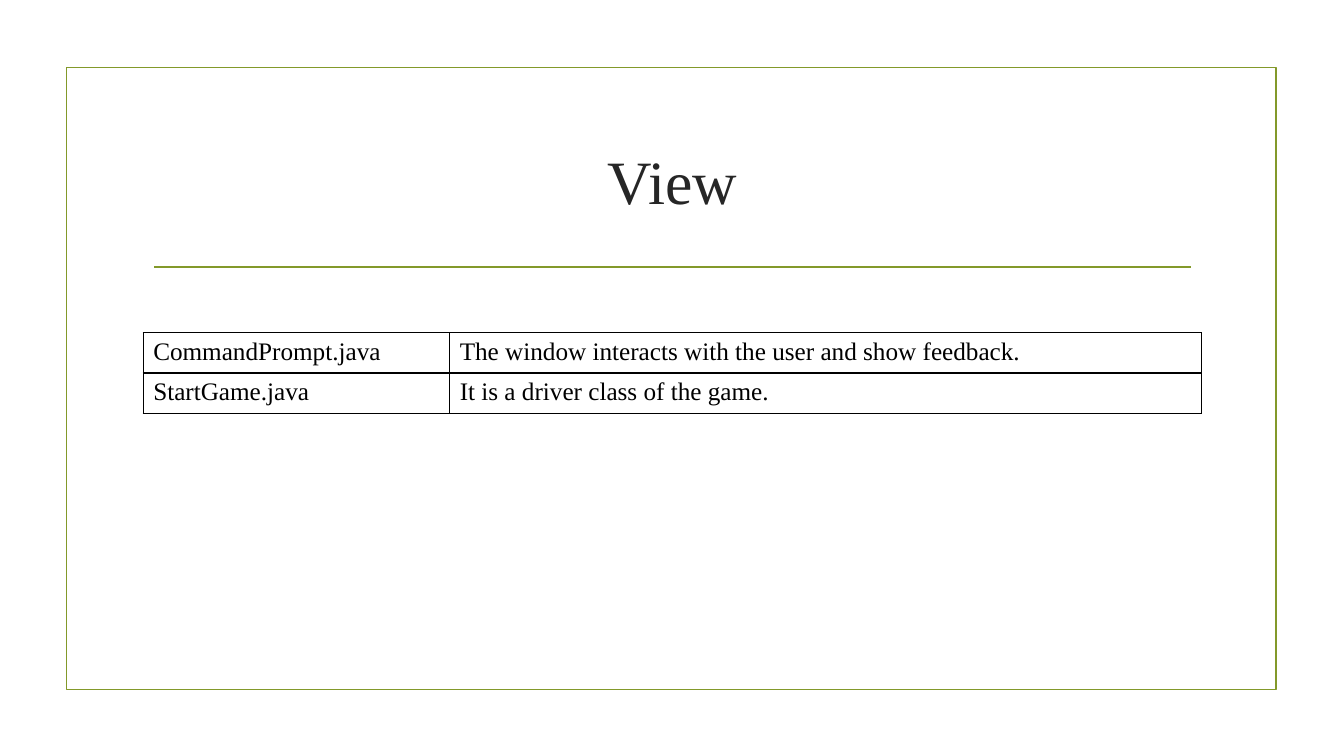
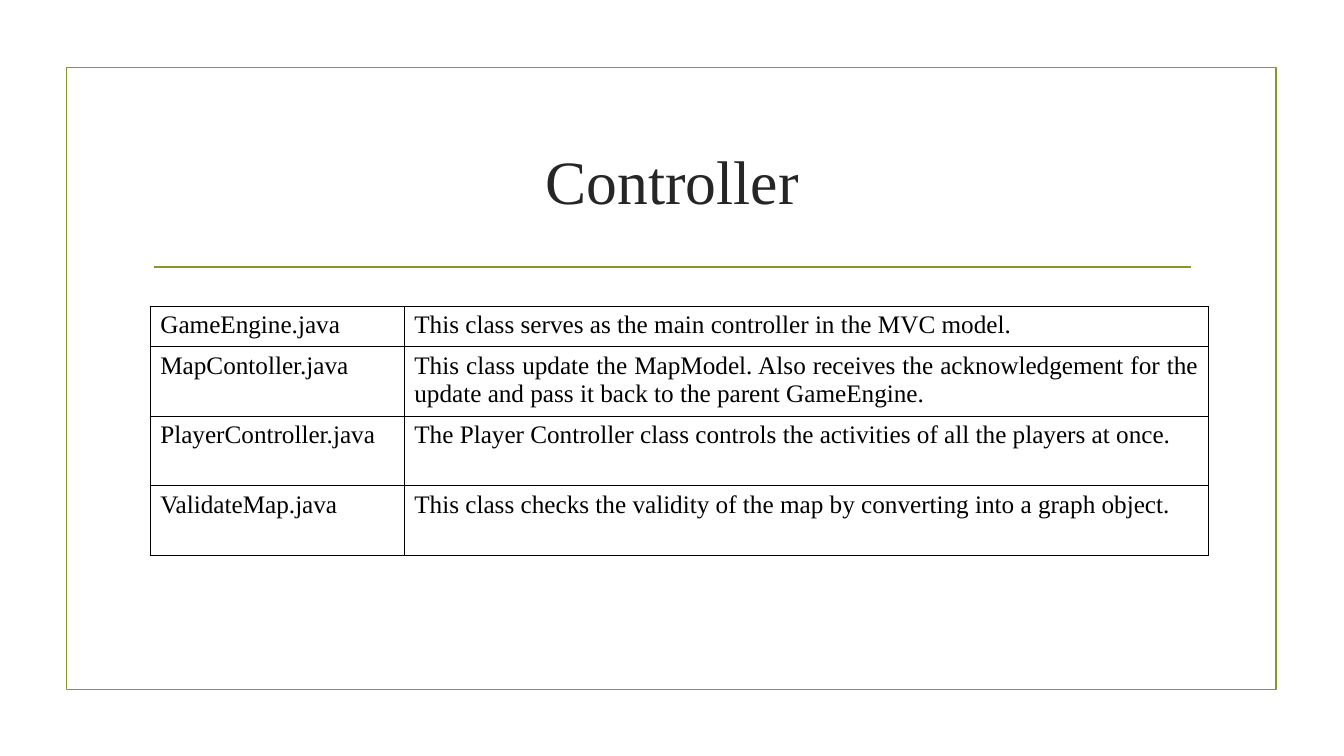
from lxml.etree import SubElement
from pptx import Presentation
from pptx.dml.color import RGBColor
from pptx.enum.shapes import MSO_CONNECTOR, MSO_SHAPE
from pptx.enum.text import MSO_ANCHOR, PP_ALIGN
from pptx.oxml import parse_xml
from pptx.oxml.ns import nsdecls, qn
from pptx.util import Inches, Pt

GREEN = RGBColor(0x83, 0x99, 0x2A)
DARK = RGBColor(0x26, 0x26, 0x26)
BLACK = RGBColor(0, 0, 0)
FONT = "Times New Roman"

VIEW = [
    ("CommandPrompt.java", "The window interacts with the user and show feedback."),
    ("StartGame.java", "It is a driver class of the game."),
]
CONTROL = [
    ("GameEngine.java", "This class serves as the main controller in the MVC model."),
    ("MapContoller.java", "This class update the MapModel. Also receives the acknowledgement "
     "for the update and pass it back to the parent GameEngine."),
    ("PlayerController.java", "The Player Controller class controls the activities of all "
     "the players at once."),
    ("ValidateMap.java", "This class checks the validity of the map by converting into "
     "a graph object."),
]


def place(shape, left, top, width, height):
    shape.left, shape.top = Inches(left), Inches(top)
    shape.width, shape.height = Inches(width), Inches(height)


def write(frame, text, size, color, align):
    para = frame.paragraphs[0]
    para.alignment = align
    run = para.add_run()
    run.text = text
    font = run.font
    font.name, font.size = FONT, Pt(size)
    font.color.rgb = color


def stroke(line):
    line.color.rgb = GREEN
    line.width = Pt(1.25)


def add_frame(slide):
    box = slide.shapes.add_shape(
        MSO_SHAPE.RECTANGLE, Inches(0.66), Inches(0.67), Inches(12), Inches(6.17))
    box.shadow.inherit = False
    box.fill.background()
    stroke(box.line)
    rule = slide.shapes.add_connector(
        MSO_CONNECTOR.STRAIGHT, Inches(1.53), Inches(2.65), Inches(11.81), Inches(2.65))
    stroke(rule.line)
    SubElement(rule.element.spPr, qn("a:effectLst"))


def add_slide(deck, layout, title):
    slide = deck.slides.add_slide(layout)
    add_frame(slide)
    write(slide.shapes.title.text_frame, title, 44, DARK, PP_ALIGN.CENTER)
    return slide


def add_border(cell):
    props = cell._tc.get_or_add_tcPr()
    for spot, side in enumerate("LRTB"):
        props.insert(spot, parse_xml(
            f'<a:ln{side} {nsdecls("a")} w="{Pt(1)}"><a:solidFill>'
            f'<a:srgbClr val="{BLACK}"/></a:solidFill></a:ln{side}>'))


def add_grid(slide, left, top, data, widths, heights):
    table = slide.shapes.add_table(
        len(data), len(widths), Inches(left), Inches(top),
        Inches(sum(widths)), Inches(sum(heights))).table
    table.first_row = table.horz_banding = False
    for col, width in zip(table.columns, widths):
        col.width = Inches(width)
    for row, height, texts in zip(table.rows, heights, data):
        row.height = Inches(height)
        for cell, text, align in zip(row.cells, texts, (PP_ALIGN.LEFT, PP_ALIGN.JUSTIFY)):
            cell.fill.background()
            add_border(cell)
            write(cell.text_frame, text, 18, BLACK, align)


def main():
    deck = Presentation()
    deck.slide_width, deck.slide_height = Inches(13.33), Inches(7.5)
    layout = deck.slide_layouts[5]
    title = layout.placeholders[0]
    place(title, 1.42, 1.07, 10.5, 1.43)
    title.text_frame.vertical_anchor = MSO_ANCHOR.MIDDLE

    view = add_slide(deck, layout, "View")
    add_grid(view, 1.42, 3.3, VIEW, (3.04, 7.46), (0.4, 0.4))
    control = add_slide(deck, layout, "Controller")
    add_grid(control, 1.49, 3.04, CONTROL, (2.52, 7.98), (0.4, 0.69, 0.69, 0.69))
    deck.save("out.pptx")


if __name__ == "__main__":
    main()
